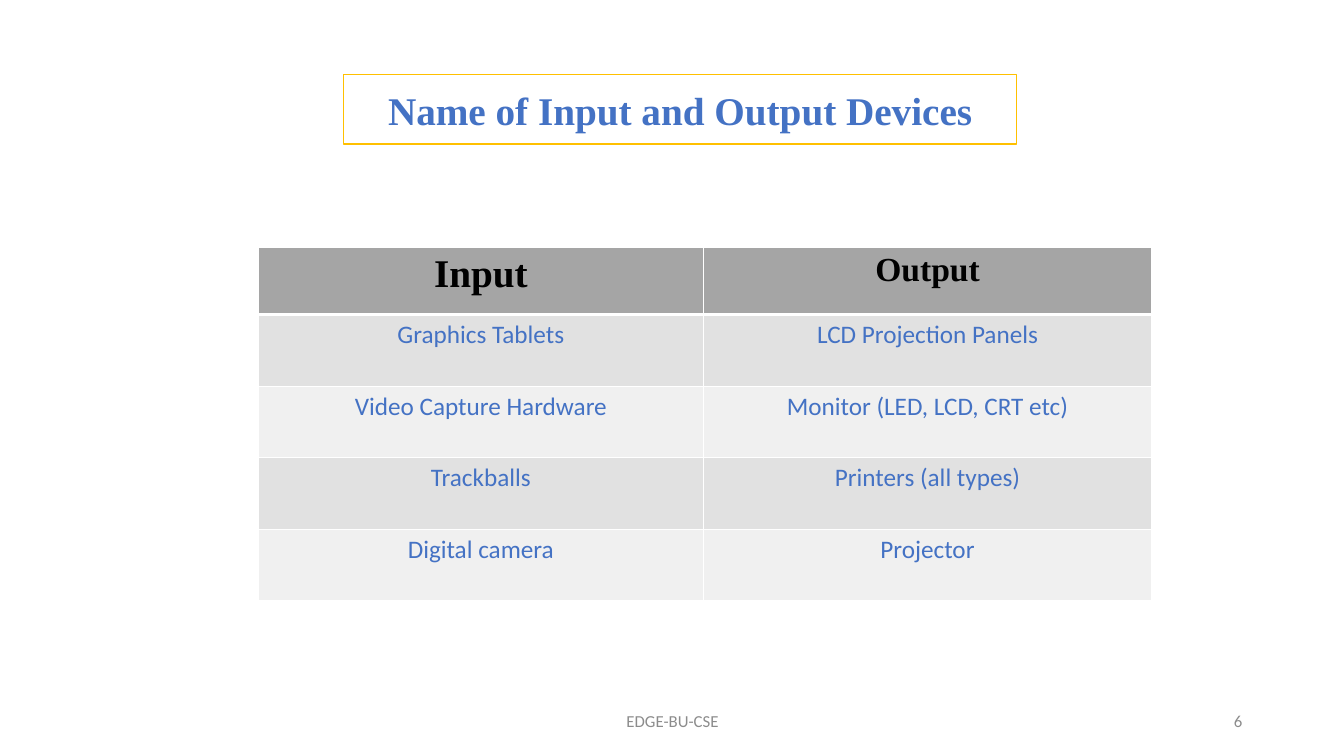
from lxml import etree
from pptx import Presentation
from pptx import util as u
from pptx.dml.color import RGBColor
from pptx.enum import text
from pptx.oxml import ns

WIDE, HIGH = u.Inches(13.33), u.Inches(7.5)
HUES = {"white": "FFFFFF", "black": "000000", "blue": "4472C4", "gold": "FFC000",
        "head": "A5A5A5", "odd": "E1E1E1", "even": "F0F0F0", "note": "8C8C8C"}
SERIF, SANS = "Times New Roman", "Calibri"
ROWS = [("Input", "Output"),
        ("Graphics Tablets", "LCD Projection Panels"),
        ("Video Capture Hardware", "Monitor (LED, LCD, CRT etc)"),
        ("Trackballs", "Printers (all types)"),
        ("Digital camera", "Projector")]


def hue(name):
    return RGBColor.from_string(HUES[name])


def across(share):
    return round(WIDE * share / 100)


def down(share):
    return round(HIGH * share / 100)


def area(x, y, w, h):
    return across(x), down(y), across(w), down(h)


def write(frame, words, size, face, color, bold=False, align="CENTER"):
    frame.text = words
    line = frame.paragraphs[0]
    line.alignment = text.PP_ALIGN[align]
    font = line.font
    font.size, font.name, font.bold = u.Pt(size), face, bold
    font.color.rgb = hue(color)


def title(slide, words, place):
    shape = slide.shapes.title
    shape.left, shape.top, shape.width, shape.height = place
    form = etree.SubElement(shape.element.spPr, ns.qn("a:prstGeom"), prst="roundRect")
    etree.SubElement(form, ns.qn("a:avLst"))
    shape.fill.solid()
    shape.fill.fore_color.rgb = hue("white")
    shape.line.color.rgb = hue("gold")
    shape.line.width = u.Pt(1)
    frame = shape.text_frame
    frame.auto_size = text.MSO_AUTO_SIZE.NONE
    frame.vertical_anchor = text.MSO_ANCHOR.MIDDLE
    write(frame, words, 28, SERIF, "blue", True)


def note(slide, words, place, align):
    frame = slide.shapes.add_textbox(*place).text_frame
    frame.word_wrap = True
    frame.vertical_anchor = text.MSO_ANCHOR.MIDDLE
    write(frame, words, 12, SANS, "note", align=align)


def border(cell, top, base):
    props = cell._tc.get_or_add_tcPr()
    sides = {"lnL": 1, "lnR": 1, "lnT": top, "lnB": base}
    for spot, (side, width) in enumerate(sides.items()):
        edge = etree.Element(ns.qn(f"a:{side}"), w=str(u.Pt(width)))
        fill = etree.SubElement(edge, ns.qn("a:solidFill"))
        etree.SubElement(fill, ns.qn("a:srgbClr"), val=HUES["white"])
        props.insert(spot, edge)


def table(slide, rows, left, top, cols, head, body):
    tall = head + body * (len(rows) - 1)
    place = area(left, top, sum(cols), tall)
    grid = slide.shapes.add_table(len(rows), len(cols), *place).table
    for col, wide in zip(grid.columns, cols):
        col.width = across(wide)
    for r, row in enumerate(rows):
        grid.rows[r].height = down(body if r else head)
        for c, words in enumerate(row):
            cell = grid.cell(r, c)
            cell.fill.solid()
            if r:
                shade = "odd" if r % 2 else "even"
                write(cell.text_frame, words, 18, SANS, "blue")
            else:
                shade = "head"
                write(cell.text_frame, words, 24 if c else 28, SERIF, "black", True)
            cell.fill.fore_color.rgb = hue(shade)
            border(cell, 3 if r == 1 else 1, 1 if r else 3)


def main():
    deck = Presentation()
    deck.slide_width, deck.slide_height = WIDE, HIGH
    slide = deck.slides.add_slide(deck.slide_layouts[5])
    note(slide, "EDGE-BU-CSE", area(33.16, 92.67, 33.76, 5.33), "CENTER")
    note(slide, "6", area(70.67, 92.67, 22.5, 5.33), "RIGHT")
    table(slide, ROWS, 19.2, 32.67, (33.16, 33.31), 8.93, 9.47)
    title(slide, "Name of Input and Output Devices", area(25.58, 9.87, 50.04, 9.2))
    deck.save("out.pptx")


if __name__ == "__main__":
    main()
